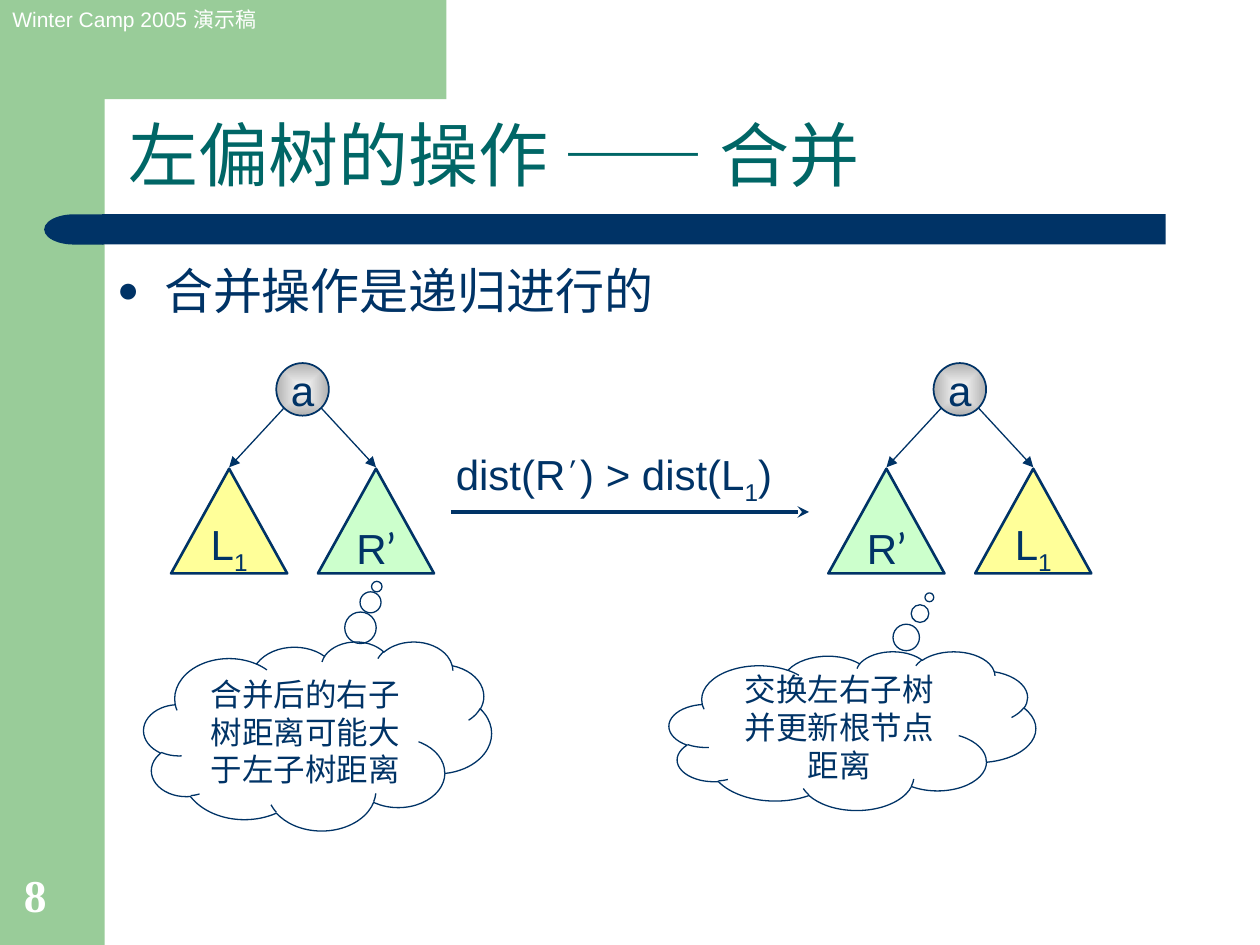
from math import cos, pi, sin

from lxml.etree import SubElement
from pptx import Presentation
from pptx.dml.color import RGBColor
from pptx.enum.shapes import MSO_CONNECTOR, MSO_SHAPE
from pptx.enum.text import MSO_ANCHOR, PP_ALIGN
from pptx.oxml.ns import qn
from pptx.util import Cm, Pt

NAVY, TEAL, GREEN, WHITE = "003366", "006666", "99CC99", "FFFFFF"
YELLOW, MINT, GREY = "FFFF99", "CCFFCC", "B1B1B1"


def rgb(value):
    return RGBColor.from_string(value)


def add_run(paragraph, text, size, color=NAVY, font="Arial", bold=None, baseline=0):
    run = paragraph.add_run()
    run.text = text
    run.font.size = Pt(size)
    run.font.name = font
    run.font.bold = bold
    run.font.color.rgb = rgb(color)
    if baseline:
        run.font._element.set("baseline", str(baseline * 1000))


def add_label(slide, box, wrap=True, anchor=MSO_ANCHOR.TOP):
    """Add a text box and return its first paragraph."""
    frame = slide.shapes.add_textbox(*map(Cm, box)).text_frame
    frame.word_wrap = wrap
    frame.vertical_anchor = anchor
    return frame.paragraphs[0]


def paint(shape, fill=None, line=None, width=0.75):
    shape.shadow.inherit = False
    if fill:
        shape.fill.solid()
        shape.fill.fore_color.rgb = rgb(fill)
    else:
        shape.fill.background()
    if line:
        shape.line.color.rgb = rgb(line)
        shape.line.width = Pt(width)
    else:
        shape.line.fill.background()


def add_figure(slide, kind, box, fill=None, line=None, width=0.75):
    figure = slide.shapes.add_shape(kind, *map(Cm, box))
    paint(figure, fill, line, width)
    return figure


def centre_text(figure, runs, size, wrap=False):
    frame = figure.text_frame
    frame.word_wrap = wrap
    frame.vertical_anchor = MSO_ANCHOR.MIDDLE
    frame.paragraphs[0].alignment = PP_ALIGN.CENTER
    for text, style in runs:
        add_run(frame.paragraphs[0], text, size, **style)


def add_arrow(slide, start, end, width, head):
    arrow = slide.shapes.add_connector(
        MSO_CONNECTOR.STRAIGHT, *map(Cm, (*start, *end)))
    arrow.line.color.rgb = rgb(NAVY)
    arrow.line.width = Pt(width)
    SubElement(arrow.line._get_or_add_ln(), qn("a:tailEnd"), type=head)
    SubElement(arrow._element.spPr, qn("a:effectLst"))


def shade_from_centre(figure, inner, outer):
    figure.fill.gradient()
    for stop, color in zip(figure.fill.gradient_stops, (inner, outer)):
        stop.color.rgb = rgb(color)
    for stop, position in zip(figure.fill.gradient_stops, (0, 1)):
        stop.position = position
    gradient = figure._element.spPr.find(qn("a:gradFill"))
    gradient.remove(gradient.find(qn("a:lin")))
    path = SubElement(gradient, qn("a:path"), path="rect")
    SubElement(path, qn("a:fillToRect"), l="50000", t="50000", r="50000", b="50000")


def add_backdrop(slide):
    # Green side band and the corner piece with its rounded inner edge
    add_figure(slide, MSO_SHAPE.RECTANGLE, (0, 0, 2.11, 19.07), GREEN)
    radius, steps = 0.82, 16
    curve = [(2.93 - radius * sin(i * pi / 2 / steps),
              2.93 - radius * cos(i * pi / 2 / steps)) for i in range(steps + 1)]
    outline = [(8.89, 2.11), *curve, (2.11, 3.25), (1.27, 3.25), (1.27, 0)]
    builder = slide.shapes.build_freeform(8.89, 0, scale=Cm(1))
    builder.add_line_segments(outline, close=True)
    paint(builder.convert_to_shape(), GREEN)

    # Title rule with its rounded left end
    add_figure(slide, MSO_SHAPE.RECTANGLE, (2.06, 4.32, 21.44, 0.61), NAVY)
    rule_end = add_figure(slide, MSO_SHAPE.FLOWCHART_DELAY,
                          (0.89, 4.32, 1.2, 0.61), NAVY)
    rule_end.rotation = 180


def add_bullet(paragraph):
    properties = paragraph._p.get_or_add_pPr()
    properties.set("marL", str(Cm(0.95)))
    properties.set("indent", str(-Cm(0.95)))
    color = SubElement(properties, qn("a:buClr"))
    SubElement(color, qn("a:srgbClr"), val=NAVY)
    SubElement(properties, qn("a:buSzPct"), val="75000")
    SubElement(properties, qn("a:buFont"), typeface="Arial")
    SubElement(properties, qn("a:buChar"), char="●")


def add_tree(slide, centre, subtrees):
    """Draw root a above its left and right subtrees."""
    root = add_figure(slide, MSO_SHAPE.OVAL, (centre - 0.53, 7.32, 1.06, 1.06),
                      WHITE, NAVY, 1)
    shade_from_centre(root, WHITE, GREY)
    centre_text(root, [("a", {})], 24)
    for side, (color, runs) in zip((-1, 1), subtrees):
        apex = centre + side * 1.48
        subtree = add_figure(slide, MSO_SHAPE.ISOSCELES_TRIANGLE,
                             (apex - 1.17, 9.45, 2.34, 2.11), color, NAVY, 1.5)
        centre_text(subtree, runs, 24)
        add_arrow(slide, (centre + side * 0.38, 8.23), (apex, 9.42), 0.75, "triangle")


def add_thought(slide, box, pointer, text):
    cloud = add_figure(slide, MSO_SHAPE.CLOUD_CALLOUT, box, line=NAVY)
    for i, offset in enumerate(pointer):
        cloud.adjustments[i] = offset
    centre_text(cloud, [(text, {})], 18, wrap=True)


def main():
    deck = Presentation()
    deck.slide_width, deck.slide_height = Cm(25.4), Cm(19.05)
    slide = deck.slides.add_slide(deck.slide_layouts[6])
    add_backdrop(slide)

    # Header, title and bullet
    header = add_label(slide, (0, 0, 5.79, 0.76))
    header.space_before = Pt(7.5)
    add_run(header, "Winter Camp 2005 演示稿", 12, WHITE)
    title = add_label(slide, (2.34, 2.36, 21.13, 1.73), anchor=MSO_ANCHOR.BOTTOM)
    title.line_spacing = 0.9
    add_run(title, "左偏树的操作 —— 合并", 40, TEAL)
    point = add_label(slide, (2.11, 5.13, 21.41, 12.4))
    point.space_before = Pt(7)
    add_bullet(point)
    add_run(point, "合并操作是递归进行的", 28)

    # Trees before and after the swap
    subtree_l = (YELLOW, [("L", {}), ("1", {"baseline": -25})])
    subtree_r = (MINT, [("R", {}), ("’", {"font": "Lato"})])
    add_tree(slide, 6.1, (subtree_l, subtree_r))
    add_tree(slide, 19.35, (subtree_r, subtree_l))

    # Condition for the swap
    add_arrow(slide, (9.09, 10.32), (16.31, 10.32), 2.25, "stealth")
    condition = add_label(slide, (8.94, 8.92, 6.88, 1.42), wrap=False)
    for text, style in (("dist(R", {}),
                        ("’", {"font": "Courier New", "baseline": 30}),
                        (") > dist(L", {}),
                        ("1", {"baseline": -25}),
                        (")", {})):
        add_run(condition, text, 24, **style)

    # Explanations
    add_thought(slide, (13.49, 13.13, 7.39, 3.2), (0.21, -0.84),
                "交换左右子树并更新根节点距离")
    add_thought(slide, (2.9, 12.93, 7.01, 3.81), (0.17, -0.79),
                "合并后的右子树距离可能大于左子树距离")

    # Slide number
    number = add_label(slide, (0.23, 17.35, 1.63, 1.35), anchor=MSO_ANCHOR.BOTTOM)
    add_run(number, "8", 26, WHITE, "Times New Roman", bold=True)

    deck.save("out.pptx")


if __name__ == "__main__":
    main()
